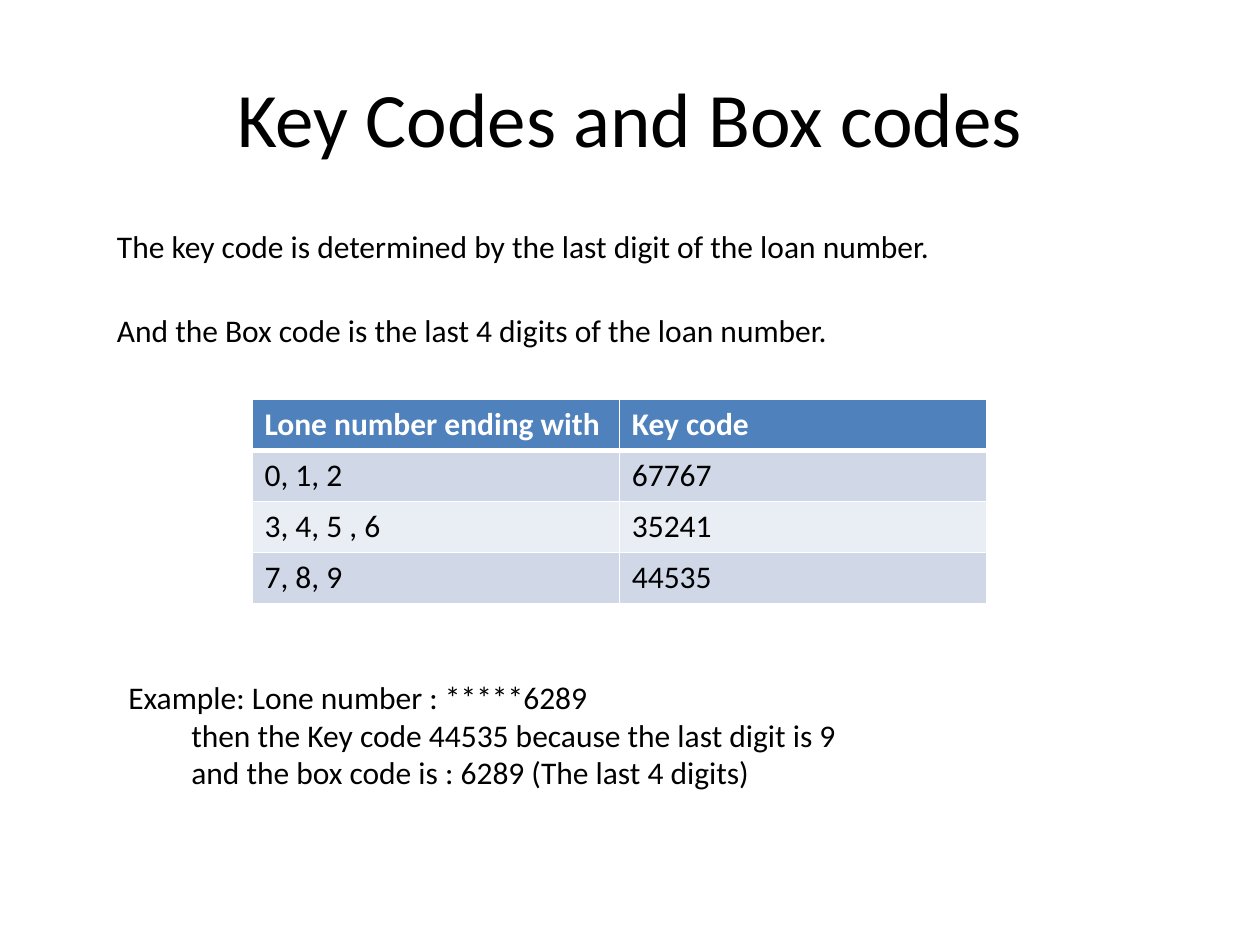
from dataclasses import dataclass
from lxml import etree
from pptx import Presentation
from pptx.dml.color import RGBColor
from pptx.enum.text import MSO_ANCHOR, PP_ALIGN
from pptx.oxml.ns import qn
from pptx.util import Inches, Pt


@dataclass(frozen=True)
class Theme:
    font: str = "Calibri"
    title_size: int = 44
    body_size: int = 18
    ink: str = "000000"
    paper: str = "FFFFFF"
    header: str = "4F81BD"
    bands: tuple = ("D0D8E8", "E9EDF4")
    rule: int = 1
    header_rule: int = 3


THEME = Theme()
TITLE = ("Key Codes and Box codes", (0.5, 0.3, 9, 1.25))
NOTES = [
    (["The key code is determined by the last digit of the loan number."],
     (0.83, 1.75, 8.75, 0.4)),
    (["And the Box code is the last 4 digits of the loan number."],
     (0.83, 2.42, 7.67, 0.4)),
    (["Example: Lone number : *****6289",
      "\tthen the Key code 44535 because the last digit is 9",
      "\tand the box code is : 6289 (The last 4 digits)"],
     (0.92, 5.33, 8, 1.01)),
]
KEY_CODES = [
    ("Lone number ending with", "Key code"),
    ("0, 1, 2", "67767"),
    ("3, 4, 5 , 6", "35241"),
    ("7, 8, 9", "44535"),
]
TABLE_BOX = (2, 3.17, 5.83, 1.62)


def write(frame, lines, size, color, bold=False, align=PP_ALIGN.LEFT):
    for index, line in enumerate(lines):
        paragraph = frame.add_paragraph() if index else frame.paragraphs[0]
        paragraph.alignment = align
        run = paragraph.add_run()
        run.text = line
        run.font.name = THEME.font
        run.font.size = Pt(size)
        run.font.bold = bold
        run.font.color.rgb = RGBColor.from_string(color)


def add_text(slide, lines, box, size, **style):
    frame = slide.shapes.add_textbox(*map(Inches, box)).text_frame
    frame.word_wrap = True
    write(frame, lines, size, THEME.ink, **style)
    return frame


def add_borders(cell, widths):
    properties = cell._tc.get_or_add_tcPr()
    for side, width in widths.items():
        line = etree.SubElement(properties, qn("a:ln" + side), w=str(Pt(width)))
        fill = etree.SubElement(line, qn("a:solidFill"))
        etree.SubElement(fill, qn("a:srgbClr"), val=THEME.paper)


def add_key_table(slide):
    row_count, column_count = len(KEY_CODES), len(KEY_CODES[0])
    table = slide.shapes.add_table(
        row_count, column_count, *map(Inches, TABLE_BOX)).table
    for r, values in enumerate(KEY_CODES):
        is_header = r == 0
        fill = THEME.header if is_header else THEME.bands[(r - 1) % 2]
        color = THEME.paper if is_header else THEME.ink
        widths = dict.fromkeys("LRTB", THEME.rule)
        if r < 2:
            widths["B" if is_header else "T"] = THEME.header_rule
        for c, value in enumerate(values):
            cell = table.cell(r, c)
            add_borders(cell, widths)
            cell.fill.solid()
            cell.fill.fore_color.rgb = RGBColor.from_string(fill)
            write(cell.text_frame, [value], THEME.body_size, color, is_header)


deck = Presentation()
deck.slide_width, deck.slide_height = Inches(10), Inches(7.5)
slide = deck.slides.add_slide(deck.slide_layouts[6])
title_text, title_box = TITLE
title = add_text(slide, [title_text], title_box, THEME.title_size,
                 align=PP_ALIGN.CENTER)
title.vertical_anchor = MSO_ANCHOR.MIDDLE
for lines, box in NOTES:
    add_text(slide, lines, box, THEME.body_size)
add_key_table(slide)
deck.save("out.pptx")
